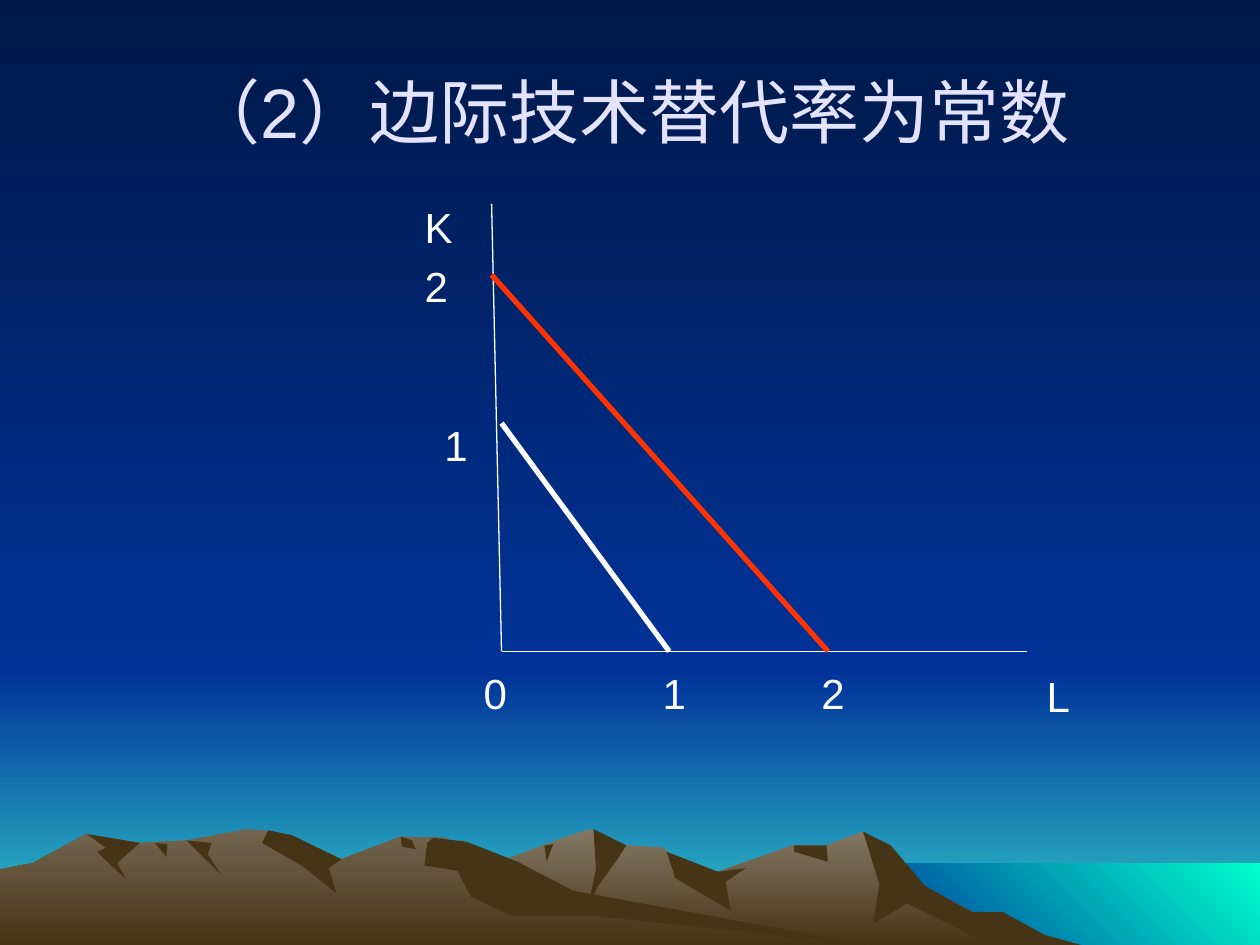
from lxml import etree
from pptx import Presentation
from pptx import util as u
from pptx.dml.color import RGBColor
from pptx.enum import shapes, text
from pptx.oxml.ns import qn

NIGHT = RGBColor.from_string("001847")
BLUE = RGBColor.from_string("003399")
TEAL = RGBColor.from_string("33CCCC")
AQUA = RGBColor.from_string("00FFCC")
LIGHT_ROCK = RGBColor.from_string("847864")
ROCK = RGBColor.from_string("73654F")
DARK_ROCK = RGBColor.from_string("463416")
LAVENDER = RGBColor.from_string("E3E3FF")
WHITE = RGBColor.from_string("FFFFFF")
RED = RGBColor.from_string("FF3300")

FONT = "Arial"
WIDTH, HEIGHT = 25.4, 19.05
HORIZON, SEA_TOP, SEA_LEFT = 13.54, 17.4, 17.35
DOWN, UP_RIGHT = 270, 45
TERRAIN_UNIT = u.Cm(0.0254)  # one step of the outline coordinates
GROUND = 750

FAR_RIDGE = [
    (258, GROUND), (327, 709), (394, 685), (450, 664), (468, 658), (497, 671),
    (526, 673), (542, 685), (570, 692), (629, 671), (656, 671), (685, 660),
    (723, 698), (821, GROUND)]
NEAR_RIDGE = [
    (0, GROUND), (0, 690), (26, 685), (68, 662), (111, 669), (148, 667),
    (196, 658), (219, 660), (271, 682), (318, 664), (354, 665), (432, 712),
    (690, GROUND)]
FAR_SHADOWS = [
    [(685, 660), (707, 671), (734, 703), (771, 724), (796, 724), (829, 742),
     (858, GROUND), (787, GROUND), (720, 717), (693, 733), (698, 702)],
    [(471, 658), (497, 671), (490, 682), (474, 704), (465, 727), (473, 690)],
    [(529, 676), (570, 692), (592, 689), (576, 700), (580, 723), (536, 697)],
    [(630, 671), (656, 671), (657, 684), (630, 676)],
    [(432, 671), (439, 670), (434, 684)],
]
NEAR_SHADOWS = [
    [(213, 659), (232, 663), (271, 682), (261, 689), (267, 709), (241, 688),
     (208, 669)],
    [(339, 669), (344, 665), (370, 668), (411, 684), (455, 707),
     (690, GROUND), (472, 727), (407, 727), (374, 712), (363, 691), (337, 687)],
    [(318, 664), (327, 667), (330, 674), (319, 672)],
    [(148, 667), (168, 669), (165, 678), (176, 695)],
    [(123, 669), (133, 670), (132, 680)],
    [(69, 662), (111, 669), (93, 685), (100, 698), (77, 676), (84, 673)],
]

# Graph positions in centimetres
AXIS_X, BASE = 10.11, 13.13
AXIS_TOP_X, AXIS_TOP = 9.91, 4.11
LABEL_ROW, LABEL_COLUMN = 13.34, 8.31


def set_fill(fill, colours, angle=DOWN):
    """Fill with one colour, or with a gradient between two."""
    if len(colours) == 1:
        fill.solid()
        fill.fore_color.rgb = colours[0]
        return
    fill.gradient()
    fill.gradient_angle = angle
    for stop, colour in zip(fill.gradient_stops, colours):
        stop.color.rgb = colour


def paint(shape, colours, angle=DOWN):
    set_fill(shape.fill, colours, angle)
    shape.line.fill.background()
    shape.shadow.inherit = False


def add_band(slide, left, top, bottom, colours, angle=DOWN):
    """Add a rectangle that reaches the right edge of the slide."""
    band = slide.shapes.add_shape(
        shapes.MSO_SHAPE.RECTANGLE, u.Cm(left), u.Cm(top),
        u.Cm(WIDTH - left), u.Cm(bottom - top))
    paint(band, colours, angle)


def add_outline(slide, points, *colours):
    builder = slide.shapes.build_freeform(*points[0], scale=TERRAIN_UNIT)
    builder.add_line_segments(points[1:], close=True)
    paint(builder.convert_to_shape(), colours)


def add_mountains(slide, ridge, shadows, top_colour):
    add_outline(slide, ridge, top_colour, DARK_ROCK)
    for shadow in shadows:
        add_outline(slide, shadow, DARK_ROCK)


def set_font(paragraph, size, colour):
    paragraph.font.name = FONT
    paragraph.font.size = u.Pt(size)
    paragraph.font.color.rgb = colour


def set_title(slide, wording):
    title = slide.shapes.title
    title.left, title.top = u.Cm(1.27), u.Cm(0.64)
    title.width, title.height = u.Cm(22.86), u.Cm(3.18)
    title.text_frame.vertical_anchor = text.MSO_ANCHOR.MIDDLE
    title.text_frame.text = wording
    paragraph = title.text_frame.paragraphs[0]
    paragraph.alignment = text.PP_ALIGN.CENTER
    set_font(paragraph, 40, LAVENDER)
    title.element.getparent().append(title.element)  # in front of the sky


def add_line(slide, start, end, colour=WHITE, width=0.75):
    line = slide.shapes.add_connector(
        shapes.MSO_CONNECTOR.STRAIGHT, *(u.Cm(length) for length in start + end))
    line.line.color.rgb = colour
    line.line.width = u.Pt(width)
    etree.SubElement(line.element.spPr, qn("a:effectLst"))


def add_label(slide, wording, left, top):
    label = slide.shapes.add_textbox(u.Cm(left), u.Cm(top), u.Cm(0.98), u.Cm(1.27))
    frame = label.text_frame
    frame.word_wrap = False
    frame.auto_size = text.MSO_AUTO_SIZE.SHAPE_TO_FIT_TEXT
    frame.text = wording
    set_font(frame.paragraphs[0], 24, WHITE)


def add_graph(slide):
    origin = (AXIS_X, BASE)
    add_line(slide, (AXIS_TOP_X, AXIS_TOP), origin)
    add_line(slide, origin, (20.7, BASE))
    add_line(slide, (AXIS_X, 8.53), (13.49, BASE), WHITE, 3)
    add_line(slide, (AXIS_TOP_X, 5.54), (16.69, BASE), RED, 3)
    add_label(slide, "L", 20.85, 13.39)
    add_label(slide, "K", LABEL_COLUMN, 3.94)
    for wording, left in (("0", 9.5), ("1", 13.11), ("2", 16.31)):
        add_label(slide, wording, left, LABEL_ROW)
    add_label(slide, "1", 8.71, 8.33)
    add_label(slide, "2", LABEL_COLUMN, 5.13)


def main():
    presentation = Presentation()
    presentation.slide_width, presentation.slide_height = u.Cm(WIDTH), u.Cm(HEIGHT)
    slide = presentation.slides.add_slide(presentation.slide_layouts[5])
    set_fill(slide.background.fill, (NIGHT, BLUE))
    add_band(slide, 0, HORIZON, HEIGHT, (BLUE, TEAL))
    add_band(slide, 0, 0, HORIZON, (NIGHT, BLUE))
    add_band(slide, SEA_LEFT, SEA_TOP, HEIGHT, (BLUE, AQUA), UP_RIGHT)
    add_mountains(slide, FAR_RIDGE, FAR_SHADOWS, LIGHT_ROCK)
    add_mountains(slide, NEAR_RIDGE, NEAR_SHADOWS, ROCK)
    set_title(slide, "（2）边际技术替代率为常数")
    add_graph(slide)
    presentation.save("out.pptx")


if __name__ == "__main__":
    main()
